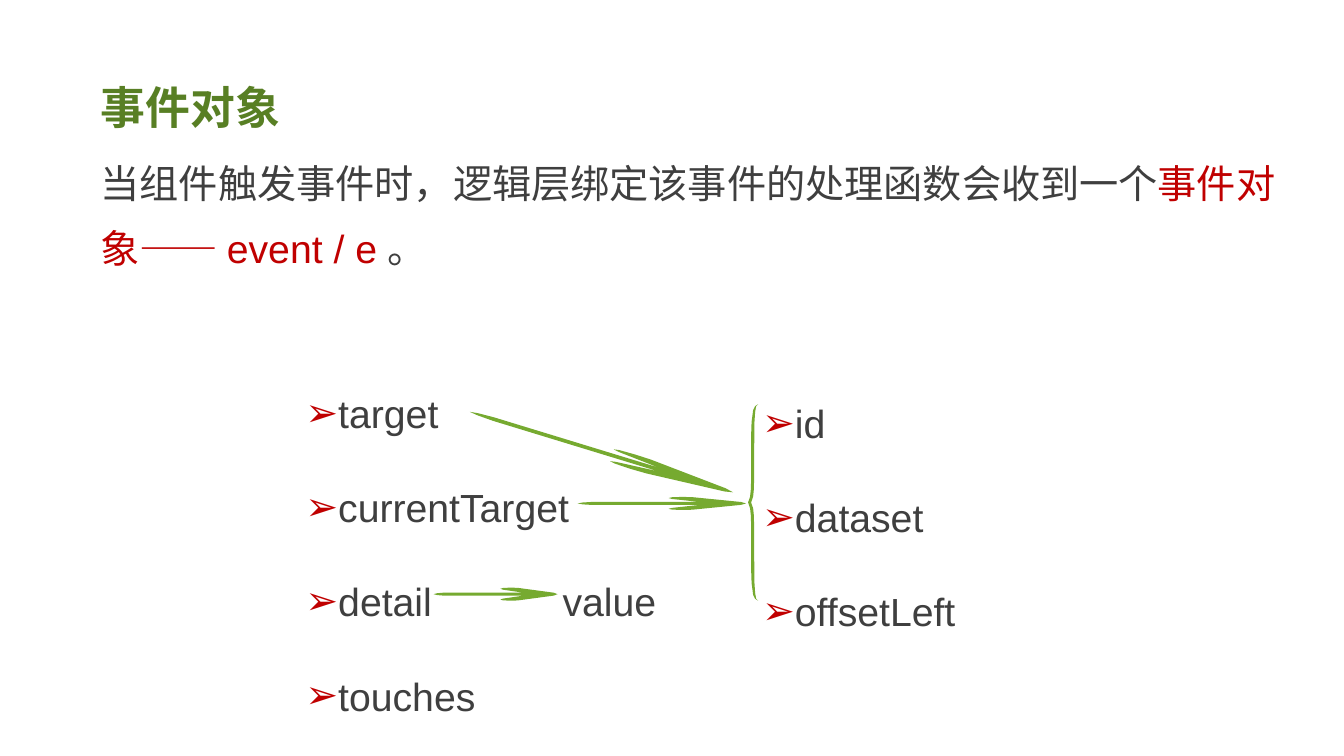
"""Build the slide on event objects and their properties."""
from lxml.etree import SubElement
from pptx import Presentation
from pptx.dml.color import RGBColor
from pptx.enum.text import MSO_ANCHOR, MSO_AUTO_SIZE, PP_ALIGN
from pptx.oxml.ns import qn
from pptx.util import Inches, Pt

GREEN, DARK_GREEN, RED, GREY = "76AA30", "587F24", "C00000", "3F3F3F"


def paint(target, color):
    target.rgb = RGBColor.from_string(color)


def draw_outline(points, left, top, width, height, rotation=0):
    corners = [(Inches(left + x * width), Inches(top + y * height)) for x, y in points]
    builder = slide.shapes.build_freeform(*corners[0])
    builder.add_line_segments(corners[1:])
    outline = builder.convert_to_shape()
    outline.shadow.inherit = False
    outline.fill.solid()
    paint(outline.fill.fore_color, GREEN)
    outline.line.fill.background()
    outline.rotation = rotation


presentation = Presentation()
presentation.slide_width, presentation.slide_height = Inches(13.33), Inches(7.5)
slide = presentation.slides.add_slide(presentation.slide_layouts[3])
heading, event_properties, target_fields = slide.placeholders

heading.left, heading.top = Inches(0.9), Inches(0.16)
heading.width, heading.height = Inches(9.35), Inches(1.22)
heading.text_frame.text = "事件对象"
heading.text_frame.vertical_anchor = MSO_ANCHOR.BOTTOM
heading_line = heading.text_frame.paragraphs[0]
heading_line.alignment = PP_ALIGN.LEFT
heading_line.line_spacing = 0.9
heading_line.font.name = "Noto Sans CJK SC"
heading_line.font.size = Pt(32)
heading_line.font.bold = True
paint(heading_line.font.color, DARK_GREEN)

description = slide.shapes.add_textbox(Inches(0.9), Inches(1.35), Inches(11.95), Inches(1.4))
description.text_frame.word_wrap = True
sentence = description.text_frame.paragraphs[0]
sentence.line_spacing = Pt(46.4)
sentence.font.name = "Arial"
sentence.font.size = Pt(28)
for words, color in [
    ("当组件触发事件时，逻辑层绑定该事件的处理函数会收到一个", GREY),
    ("事件对象—— event / e ", RED),
    ("。", GREY),
]:
    part = sentence.add_run()
    part.text = words
    paint(part.font.color, color)

for items, left, top, entries in [
    (event_properties, 2.93, 3.5, ["target", "currentTarget", "detail\tvalue", "touches"]),
    (target_fields, 7.46, 3.13, ["id", "dataset", "offsetLeft"]),
]:
    items.left, items.top = Inches(left), Inches(top)
    items.width, items.height = Inches(3.97), Inches(3.53)
    items.text_frame.text = "\n".join(entries)
    items.text_frame.vertical_anchor = MSO_ANCHOR.MIDDLE
    items.text_frame.auto_size = MSO_AUTO_SIZE.NONE
    for entry in items.text_frame.paragraphs:
        entry.line_spacing = 2.0
        entry.space_before = Pt(0)
        properties = entry._p.get_or_add_pPr()
        properties.set("marL", str(Inches(0.31)))
        properties.set("indent", str(Inches(-0.31)))
        SubElement(SubElement(properties, qn("a:buClr")), qn("a:srgbClr"), val=RED)
        SubElement(properties, qn("a:buFont"), typeface="Arial")
        SubElement(properties, qn("a:buChar"), char="➢")
        stops = SubElement(properties, qn("a:tabLst"))
        SubElement(stops, qn("a:tab"), pos=str(Inches(2.55)), algn="l")
        entry.font.name = "Arial"
        entry.font.size = Pt(28)
        paint(entry.font.color, GREY)

brace_right = [(1, 0), (0.8, 0.01), (0.7, 0.04), (0.62, 0.1), (0.6, 0.35),
               (0.58, 0.43), (0.5, 0.47), (0.3, 0.5)]
brace_left = [(0, 0.5), (0.2, 0.47), (0.28, 0.43), (0.3, 0.37), (0.3, 0.16),
              (0.35, 0.09), (0.5, 0.03), (0.7, 0.01)]
brace = (brace_right + [(x, 1 - y) for x, y in reversed(brace_right)]
         + [(x, 1 - y) for x, y in reversed(brace_left)] + brace_left)
draw_outline(brace, 7.42, 4.01, 0.1, 1.95)

arrow_top = [(0, 0.5), (0.03, 0.43), (0.09, 0.38), (0.72, 0.38), (0.56, 0.16), (0.54, 0.09),
             (0.56, 0.03), (0.62, 0), (0.68, 0.02), (0.97, 0.39), (1, 0.5)]
arrow = arrow_top + [(x, 1 - y) for x, y in reversed(arrow_top)]
for left, top, width, height, rotation in [
    (5.73, 4.93, 1.67, 0.13, 0),
    (4.6, 4.41, 2.73, 0.15, 17),
    (4.3, 5.83, 1.23, 0.13, 0),
]:
    draw_outline(arrow, left, top, width, height, rotation)

presentation.save("out.pptx")
